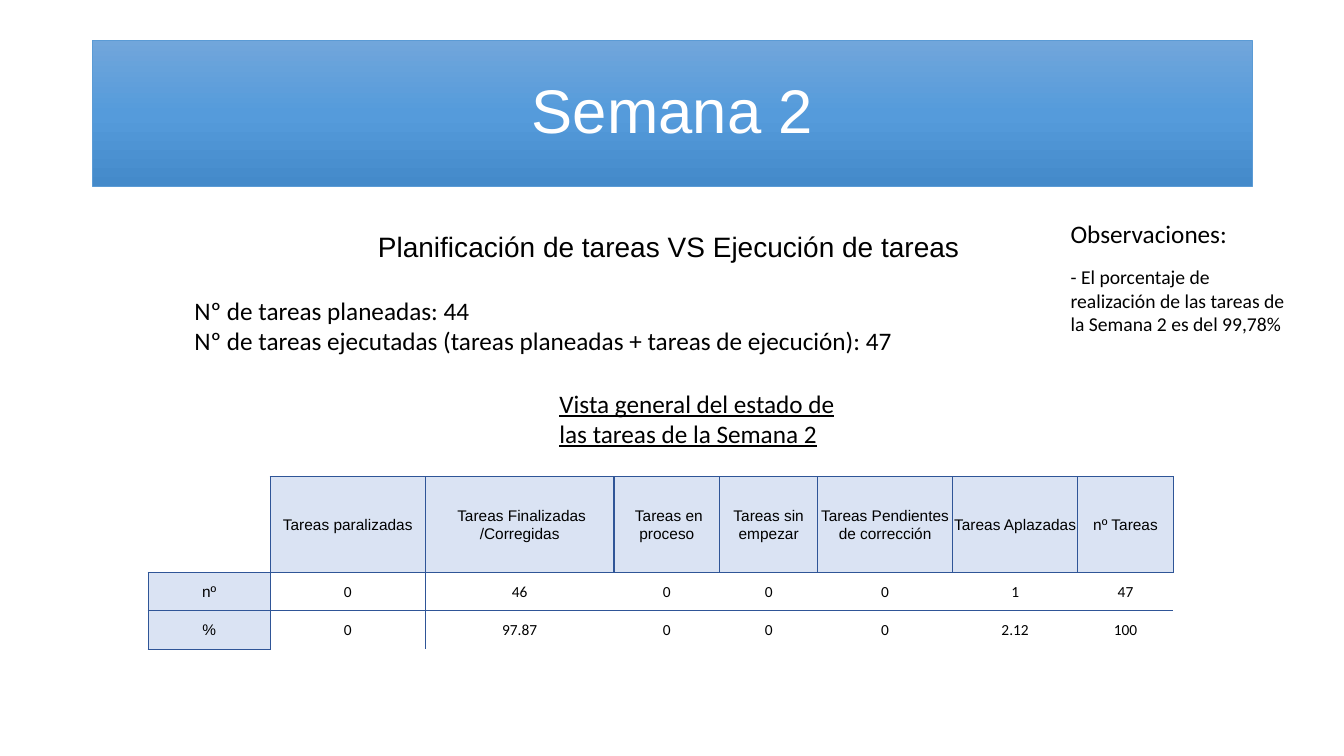
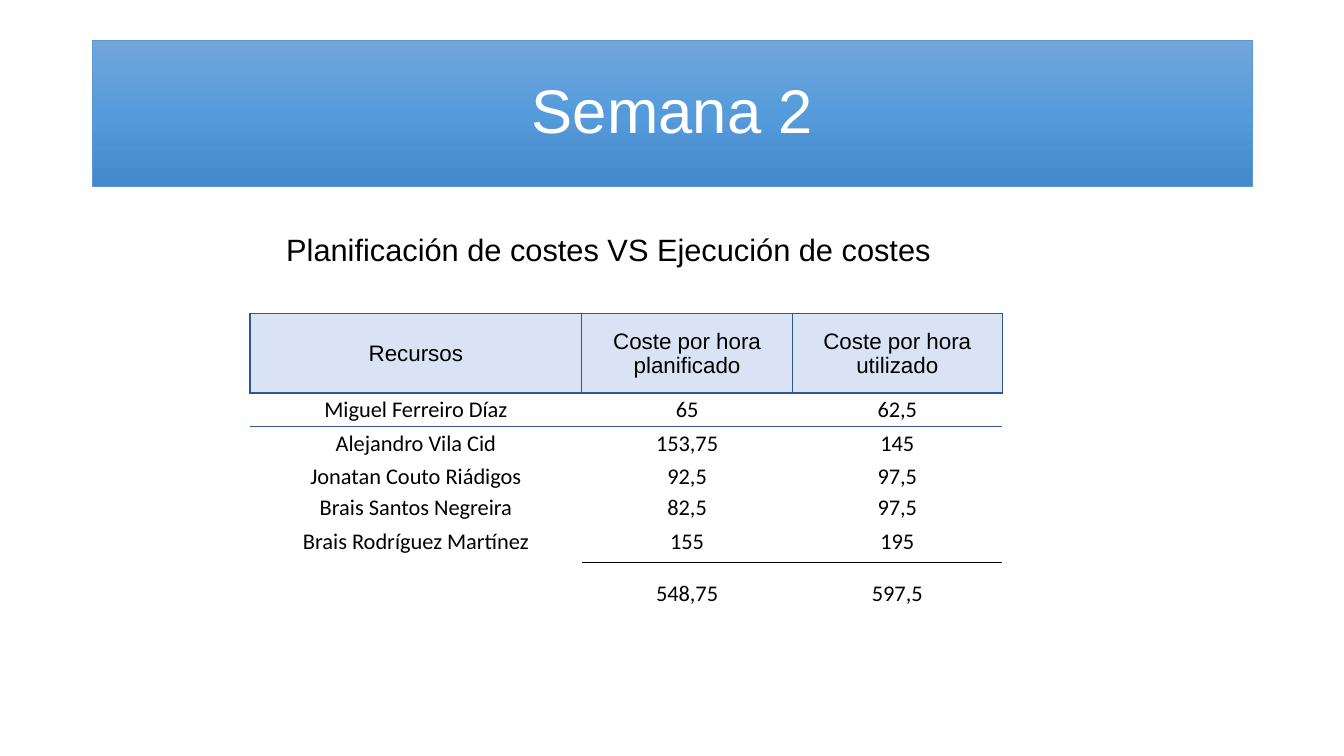
from copy import deepcopy
from dataclasses import dataclass

from pptx import Presentation
from pptx.dml.color import RGBColor
from pptx.enum.shapes import MSO_SHAPE
from pptx.enum.text import MSO_ANCHOR, MSO_AUTO_SIZE, PP_ALIGN
from pptx.oxml.ns import qn
from pptx.util import Inches, Pt
from lxml.etree import SubElement


@dataclass(frozen=True)
class Theme:
    band_stops: tuple = ((0, "71A6DB"), (0.5, "559BDB"), (1, "448ACA"))
    band_edge: str = "5B9BD5"
    band_text: str = "FFFFFF"
    ink: str = "000000"
    header_fill: str = "DAE3F3"
    header_edge: str = "2F5597"
    heading_font: str = "Arial"
    body_font: str = "Calibri"
    title_size: float = 44
    cost_heading_size: float = 22
    task_heading_size: float = 20
    body_size: float = 18
    cost_table_size: float = 16
    note_size: float = 14
    task_table_size: float = 11
    plain_table_style: str = "{2D5ABB26-0587-4C30-8999-92F81FD0307C}"


class Deck:
    def __init__(self, theme):
        self.theme = theme
        self.presentation = Presentation()
        self.presentation.slide_width = Inches(13.33)
        self.presentation.slide_height = Inches(7.5)
        self.slide = None

    def add_slide(self, title):
        self.slide = self.presentation.slides.add_slide(self.presentation.slide_layouts[6])
        self.title_band(title)

    def text_run(self, paragraph, text, size, font, color, underline=None):
        run = paragraph.add_run()
        run.text = text
        run.font.size = Pt(size)
        run.font.name = font
        run.font.color.rgb = RGBColor.from_string(color)
        run.font.underline = underline

    def title_band(self, title):
        theme = self.theme
        band = self.slide.shapes.add_shape(
            MSO_SHAPE.RECTANGLE, Inches(0.92), Inches(0.4), Inches(11.5), Inches(1.45))
        band.shadow.inherit = False
        band.fill.gradient()
        band.fill.gradient_angle = 270
        stop_list = next(band.element.iter(qn("a:gsLst")))
        stop_list.append(deepcopy(stop_list[0]))
        for stop, (position, color) in zip(band.fill.gradient_stops, theme.band_stops):
            stop.position = position
            stop.color.rgb = RGBColor.from_string(color)
        band.line.color.rgb = RGBColor.from_string(theme.band_edge)
        band.line.width = Pt(0.5)
        frame = band.text_frame
        frame.word_wrap = True
        frame.vertical_anchor = MSO_ANCHOR.MIDDLE
        heading = frame.paragraphs[0]
        heading.alignment = PP_ALIGN.CENTER
        heading.line_spacing = 0.9
        self.text_run(heading, title, theme.title_size, theme.heading_font, theme.band_text)

    def text(self, left, top, width, height, lines, size, font=None, underline=None):
        box = self.slide.shapes.add_textbox(
            Inches(left), Inches(top), Inches(width), Inches(height))
        frame = box.text_frame
        frame.word_wrap = True
        frame.auto_size = MSO_AUTO_SIZE.SHAPE_TO_FIT_TEXT
        for index, line in enumerate(lines):
            paragraph = frame.add_paragraph() if index else frame.paragraphs[0]
            self.text_run(paragraph, line, size, font or self.theme.body_font,
                          self.theme.ink, underline)

    def border(self, cell, side, color, width):
        edge = SubElement(cell._tc.get_or_add_tcPr(), qn(f"a:ln{side}"), w=str(Pt(width)))
        fill = SubElement(edge, qn("a:solidFill"))
        SubElement(fill, qn("a:srgbClr"), val=color)

    def table(self, left, top, widths, heights, rows, size, headers, totals=()):
        theme = self.theme
        grid = self.slide.shapes.add_table(
            len(rows), len(widths), Inches(left), Inches(top),
            Inches(sum(widths)), Inches(sum(heights))).table
        grid.first_row = False
        grid.horz_banding = False
        next(grid._tbl.iter(qn("a:tableStyleId"))).text = theme.plain_table_style
        for column, width in zip(grid.columns, widths):
            column.width = Inches(width)
        for row, height in zip(grid.rows, heights):
            row.height = Inches(height)
        for r, values in enumerate(rows):
            for c, value in enumerate(values):
                self.cell(grid.cell(r, c), value, size, (r, c), headers, totals)

    def cell(self, cell, value, size, place, headers, totals):
        theme = self.theme
        r, c = place
        is_header = place in headers
        cell.margin_left = cell.margin_right = cell.margin_top = Inches(0.01)
        cell.margin_bottom = 0
        cell.vertical_anchor = MSO_ANCHOR.MIDDLE
        neighbours = {"L": (r, c - 1), "R": (r, c + 1), "T": (r - 1, c), "B": (r + 1, c)}
        for side, neighbour in neighbours.items():
            if is_header or neighbour in headers:
                self.border(cell, side, theme.header_edge, 1)
            elif (side == "T" and place in totals) or (side == "B" and neighbour in totals):
                self.border(cell, side, theme.ink, 0.5)
        if is_header:
            cell.fill.solid()
            cell.fill.fore_color.rgb = RGBColor.from_string(theme.header_fill)
        else:
            cell.fill.background()
        if value:
            paragraph = cell.text_frame.paragraphs[0]
            paragraph.alignment = PP_ALIGN.CENTER
            font = theme.heading_font if is_header else theme.body_font
            self.text_run(paragraph, value, size, font, theme.ink)


theme = Theme()
deck = Deck(theme)

deck.add_slide("Semana 2")
deck.text(3.65, 2.23, 6.04, 0.44, ["Planificación de tareas VS Ejecución de tareas"],
          theme.task_heading_size, theme.heading_font)
task_rows = [
    ("", "Tareas paralizadas", " Tareas Finalizadas /Corregidas", " Tareas en proceso",
     "Tareas sin empezar", "Tareas Pendientes de corrección", "Tareas Aplazadas", "nº Tareas"),
    ("nº", "0", "46", "0", "0", "0", "1", "47"),
    ("%", "0", "97.87", "0", "0", "0", "2.12", "100"),
]
task_headers = {(0, c) for c in range(1, 8)} | {(1, 0), (2, 0)}
deck.table(1.47, 4.73, (1.21, 1.54, 1.87, 1.05, 0.97, 1.34, 1.24, 0.95),
           (0.95, 0.38, 0.38), task_rows, theme.task_table_size, task_headers)
deck.text(1.83, 2.88, 7.47, 0.71,
          ["Nº de tareas planeadas: 44",
           "Nº de tareas ejecutadas (tareas planeadas + tareas de ejecución): 47"],
          theme.body_size)
deck.text(5.45, 3.8, 3.05, 0.71, ["Vista general del estado de las tareas de la Semana 2"],
          theme.body_size, underline=True)
deck.text(10.52, 2.12, 2.47, 0.4, ["Observaciones:"], theme.body_size)
deck.text(10.52, 2.58, 2.46, 0.81,
          ["- El porcentaje de realización de las tareas de la Semana 2 es del 99,78%"],
          theme.note_size)

deck.add_slide("Semana 2")
deck.text(2.74, 2.24, 7.42, 0.47, ["Planificación de costes VS Ejecución de costes"],
          theme.cost_heading_size, theme.heading_font)
cost_rows = [
    ("Recursos", "Coste por hora planificado", "Coste por hora utilizado"),
    ("Miguel Ferreiro Díaz", "65", "62,5"),
    ("Alejandro Vila Cid", "153,75", "145"),
    ("Jonatan Couto Riádigos", "92,5", "97,5"),
    ("Brais Santos Negreira", "82,5", "97,5"),
    ("Brais Rodríguez Martínez", "155", "195"),
    ("", "548,75", "597,5"),
]
deck.table(2.48, 3.11, (3.29, 2.09, 2.08), (0.79, 0.33, 0.33, 0.33, 0.25, 0.41, 0.62),
           cost_rows, theme.cost_table_size, {(0, c) for c in range(3)}, {(6, 1), (6, 2)})

deck.presentation.save("out.pptx")
